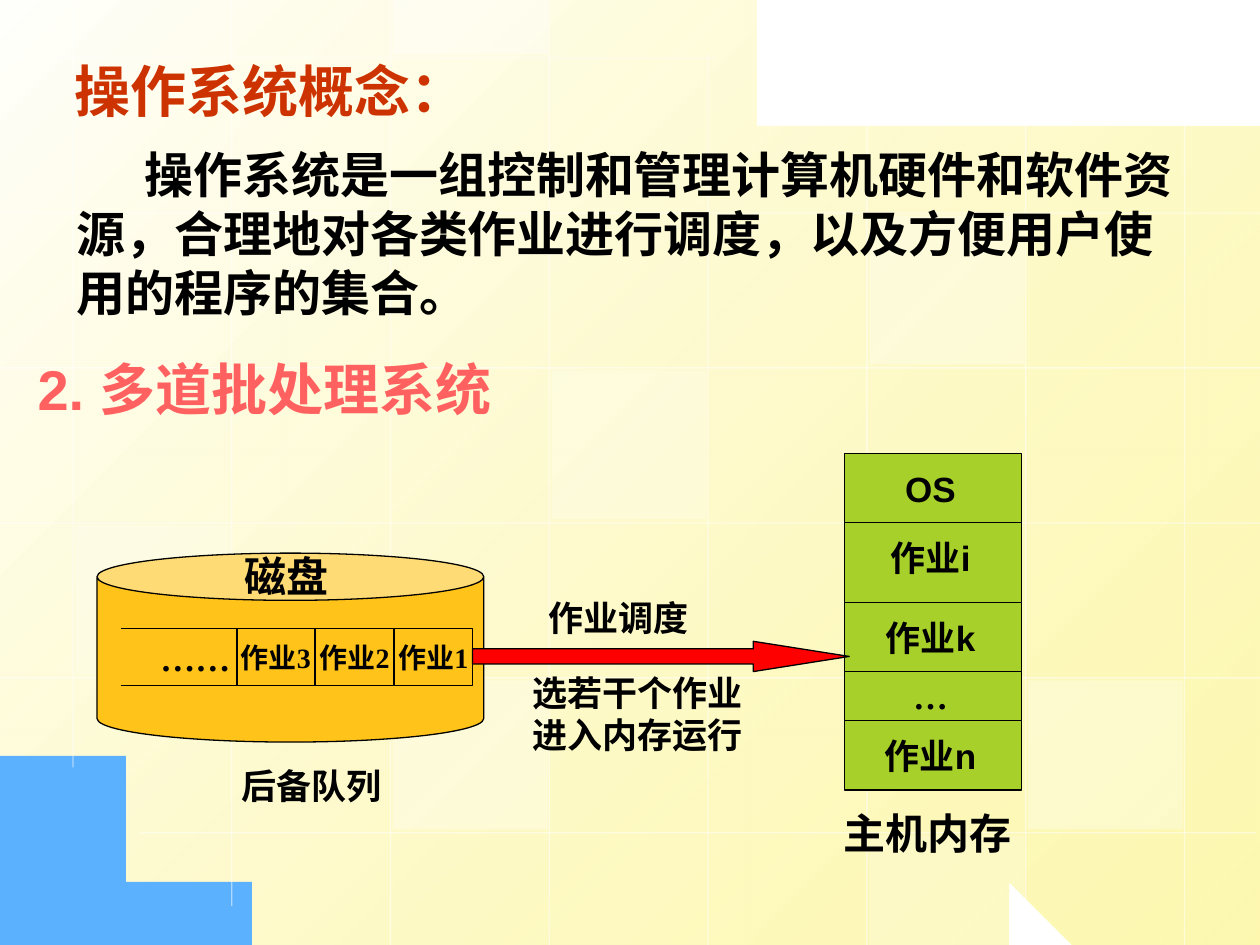
import pptx
import pptx.util
from lxml import etree
from pptx.dml.color import RGBColor
from pptx.enum.shapes import MSO_CONNECTOR, MSO_SHAPE
from pptx.enum.text import MSO_ANCHOR, PP_ALIGN
from pptx.oxml.ns import qn
from pptx.util import Inches, Pt

WHITE, BLACK = RGBColor(255, 255, 255), RGBColor(0, 0, 0)
CREAM, YELLOW = RGBColor(0xFF, 0xFF, 0xFB), RGBColor(0xFD, 0xF5, 0x8D)
BLUE, RED = RGBColor(0x5C, 0xB1, 0xFE), RGBColor(255, 0, 0)
ORANGE, GREEN = RGBColor(0xFF, 0xC3, 0x19), RGBColor(0xA8, 0xD0, 0x2A)
BRICK, CORAL = RGBColor(0xCC, 0x33, 0), RGBColor(0xFF, 0x61, 0x61)
CJK_FONT = "Noto Sans CJK SC"

TITLE = "操作系统概念："
BODY = "操作系统是一组控制和管理计算机硬件和软件资源，合理地对各类作业进行调度，以及方便用户使用的程序的集合。"
HEADING = "2. 多道批处理系统"
QUEUE = ["作业3", "作业2", "作业1"]
MEMORY = [("OS", 3.6), ("作业i", 4.15), ("作业k", 4.78), ("…", 5.33), ("作业n", 5.72)]
MEMORY_BOTTOM = 6.27
# text, left, top, width, height, size
LABELS = [
    ("磁盘", 1.2, 4.25, 1.65, 0.56, 24),
    ("主机内存", 5.79, 6.29, 2.64, 0.56, 24),
    ("后备队列", 0.84, 5.96, 2.76, 0.49, 20),
    ("作业调度", 3.28, 4.62, 2.76, 0.49, 20),
]

# Background: each outline is a start point, then lines (1 point) or curves (3 points)
PANEL = [(10, 1.04), [(10, 4.27), (10, 7.5), (10, 7.5)],
         [(10, 7.5), (6.15, 7.5), (2.3, 7.5)],
         [(0.86, 6.61), (-0.01, 5.39), (0, 5.39)],
         [(-0.01, -0.01)], [(4.21, 0.01)],
         [(4.21, 0.01), (5.37, 0.69), (10, 1.04)]]
CORNER = [(0.01, 5.59), [(0.01, 7.5)], [(2.03, 7.5)],
          [(2.03, 7.5), (1.12, 7.09), (0.01, 5.59)]]
GRID_LEFT, GRID_TOP, GRID_X, GRID_Y = 0.58, 0.46, 1.26, 1.23
COLUMNS = [(0, 6.09), (0, 7.19), (0, 7.5), (0, 7.52),
           (0.43, 7.52), (0.68, 7.52), (0.85, 7.52), (0.98, 7.52)]
ROWS = [(0, 5.68), (0, 10), (0, 10), (0, 10), (0, 10), (1.11, 9.97)]
# column, row, opacity
TILES = [(3, 2, 25), (6, 4, 30), (0, 3, 20), (5, 5, 20), (2, -1, 40), (2, 4, 30), (5, 1, 30)]

deck = pptx.Presentation()
deck.slide_width, deck.slide_height = Inches(10), Inches(7.5)
page = deck.slides.add_slide(deck.slide_layouts[5])


def set_opacity(element, percent):
    """Set the opacity of the last colour inside element."""
    color = list(element.iter(qn("a:srgbClr")))[-1]
    etree.SubElement(color, qn("a:alpha")).set("val", str(percent * 1000))


def add_outline(start, segments):
    points, here = [], start
    for segment in segments:
        if len(segment) == 1:
            points.append(segment[0])
        else:
            controls = [here, *segment]
            for step in range(1, 25):
                t = step / 24
                weights = ((1 - t) ** 3, 3 * t * (1 - t) ** 2, 3 * t * t * (1 - t), t ** 3)
                points.append(tuple(sum(w * c[axis] for w, c in zip(weights, controls))
                                    for axis in (0, 1)))
        here = segment[-1]
    builder = page.shapes.build_freeform(*start, scale=Inches(1))
    builder.add_line_segments(points, close=True)
    shape = builder.convert_to_shape()
    shape.shadow.inherit = False
    shape.line.fill.background()
    return shape


def add_grid_line(x1, y1, x2, y2):
    line = page.shapes.add_connector(MSO_CONNECTOR.STRAIGHT, *map(Inches, (x1, y1, x2, y2)))
    line.line.color.rgb, line.line.width = WHITE, Pt(0.75)
    properties = line._element.spPr
    set_opacity(properties, 50)
    etree.SubElement(properties, qn("a:effectLst"))


def add_block(kind, left, top, width, height, fill, outlined=True):
    block = page.shapes.add_shape(kind, *map(Inches, (left, top, width, height)))
    block.shadow.inherit = False
    if fill is None:
        block.fill.background()
    else:
        block.fill.solid()
        block.fill.fore_color.rgb = fill
    if outlined:
        block.line.color.rgb, block.line.width = BLACK, Pt(0.75)
    else:
        block.line.fill.background()
    return block


def write(shape, text, size, color=BLACK, font="Arial", align=PP_ALIGN.LEFT, spacing=None):
    frame = shape.text_frame
    frame.text = text
    for para in frame.paragraphs:
        para.alignment = align
        if spacing:
            para.line_spacing = Pt(spacing)
        para.font.size, para.font.bold, para.font.name = Pt(size), True, font
        para.font.color.rgb = color
        for span in para.runs:
            east_asian = etree.SubElement(span._r.get_or_add_rPr(), qn("a:ea"))
            east_asian.set("typeface", CJK_FONT)
    return frame


def indent(frame, left, first):
    for para in frame.paragraphs:
        properties = para._p.get_or_add_pPr()
        properties.set("marL", str(Inches(left)))
        properties.set("indent", str(Inches(first)))


def add_text(text, left, top, width, height, size, **style):
    box = page.shapes.add_textbox(*map(Inches, (left, top, width, height)))
    box.text_frame.word_wrap = True
    return write(box, text, size, **style)


def add_label(text, left, top, width, height, size, font="Arial", spacing=1.42):
    frame = add_text(text, left, top, width, height, size, font=font,
                     align=PP_ALIGN.CENTER, spacing=size * spacing)
    indent(frame, 0.81, -0.31)


# Background
panel = add_outline(PANEL[0], PANEL[1:])
panel.fill.gradient()
panel.fill.gradient_angle = 315
for stop, color, position in zip(panel.fill.gradient_stops, (CREAM, YELLOW), (0, 1)):
    stop.color.rgb, stop.position = color, position
set_opacity(panel._element.spPr, 70)
corner = add_outline(CORNER[0], CORNER[1:])
corner.fill.solid()
corner.fill.fore_color.rgb = BLUE
for number, (top, bottom) in enumerate(COLUMNS):
    x = GRID_LEFT + number * GRID_X
    add_grid_line(x, top, x, bottom)
for number, (left, right) in enumerate(ROWS):
    y = GRID_TOP + number * GRID_Y
    add_grid_line(right, y, left, y)
for column, row, opacity in TILES:
    top = GRID_TOP + row * GRID_Y + 0.02
    bottom = min(top + 1.18, 7.5)
    top = max(top, 0)
    tile = add_block(MSO_SHAPE.RECTANGLE, GRID_LEFT + column * GRID_X + 0.02, top,
                     1.23, bottom - top, WHITE, outlined=False)
    set_opacity(tile._element.spPr, opacity)

# Headings and definition
indent(add_text(BODY, 0.51, 1.1, 9, 1.65, 28, spacing=33.7), 0, 0.54)
title = page.shapes.title
title.left, title.top, title.width, title.height = map(Inches, (0.49, 0.21, 9, 1.01))
write(title, TITLE, 32, BRICK).vertical_anchor = MSO_ANCHOR.MIDDLE
title.element.getparent().append(title.element)
add_text(HEADING, 0.2, 2.73, 9, 0.63, 32, color=CORAL, spacing=41)

# Disk with its waiting queue
disk = add_block(MSO_SHAPE.CAN, 0.77, 4.39, 3.07, 1.5, ORANGE)
disk.adjustments[0] = 0.25
for number, job in enumerate(QUEUE):
    cell = add_block(MSO_SHAPE.RECTANGLE, 1.88 + number * 0.625, 4.99, 0.62, 0.45, ORANGE)
    frame = write(cell, job, 16, font="Times New Roman", align=PP_ALIGN.CENTER)
    frame.word_wrap, frame.vertical_anchor = False, MSO_ANCHOR.MIDDLE
queue_tail = add_block(MSO_SHAPE.RECTANGLE, 0.89, 4.99, 0.99, 0.45, ORANGE)
frame = write(queue_tail, "……", 20, font="Times New Roman", align=PP_ALIGN.RIGHT)
frame.vertical_anchor, frame.margin_right = MSO_ANCHOR.MIDDLE, Inches(0.05)
add_block(MSO_SHAPE.RECTANGLE, 0.86, 4.86, 0.1, 0.71, ORANGE, outlined=False)

# Main memory
bottoms = [top for _, top in MEMORY[1:]] + [MEMORY_BOTTOM]
for (name, top), bottom in zip(MEMORY, bottoms):
    add_block(MSO_SHAPE.RECTANGLE, 6.7, top, 1.41, bottom - top, GREEN)
    add_label(name, 5.64, top, 2.99, 0.49, 20, font=CJK_FONT if name == "…" else "Arial")

# Scheduling arrow and captions
arrow = add_block(MSO_SHAPE.RIGHT_ARROW, 3.75, 5.09, 2.99, 0.24, RED)
arrow.adjustments[0], arrow.adjustments[1] = 0.5, 3.17
for label in LABELS:
    add_label(*label)
add_label("选若干个作业\n进入内存运行", 3.59, 5.28, 2.44, 0.77, 20, spacing=1.2)

deck.save("out.pptx")
